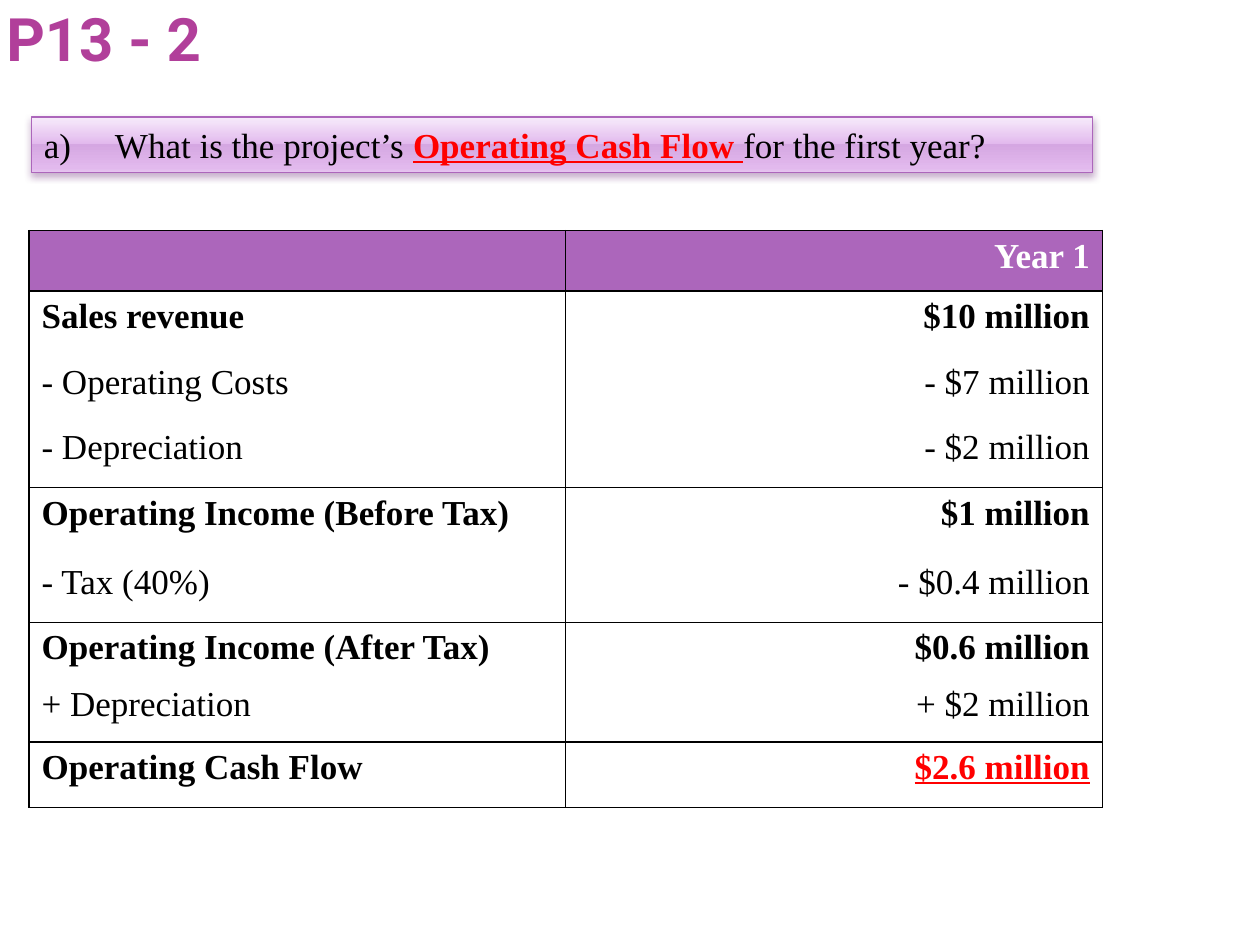
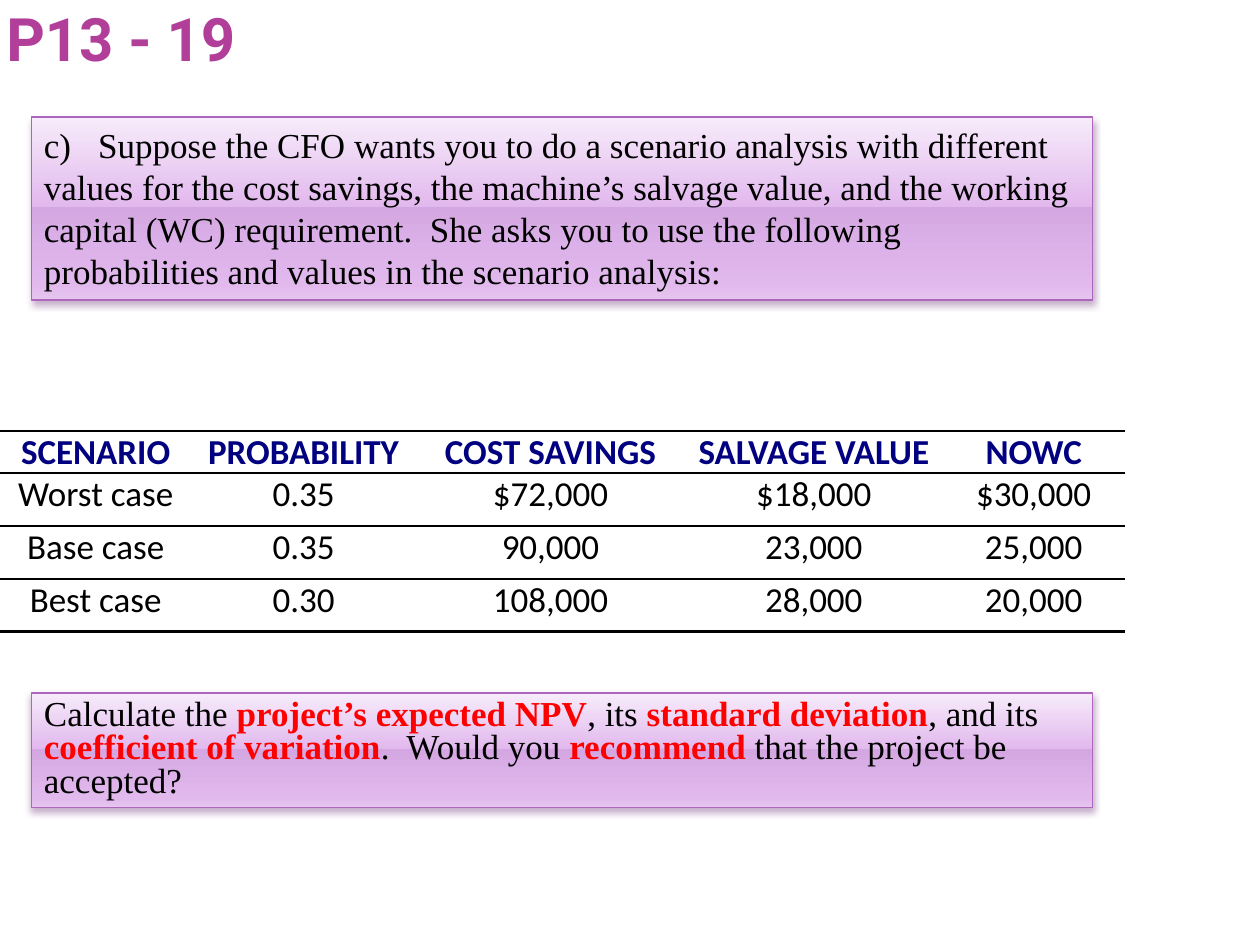
from lxml.etree import SubElement
from pptx import Presentation
from pptx.dml.color import RGBColor
from pptx.enum.shapes import MSO_SHAPE
from pptx.enum.text import MSO_ANCHOR, MSO_AUTO_SIZE, PP_ALIGN
from pptx.oxml.ns import qn
from pptx.util import Inches, Pt

# Shared style
COLORS = {
    "title": "B13F9A", "ink": "000000", "accent": "FF0000", "navy": "000080",
    "white": "FFFFFF", "purple": "AC66BB", "shadow": "6E307B",
}
BAND_STOPS = [(0, "F7EBFB"), (49, "E2B9ED"), (49, "D5A7E2"), (92, "E2B9ED"), (100, "E6C6EF")]
TITLE = {"name": "Roboto", "size": Pt(34.2), "bold": True, "color": "title"}
SERIF = {"name": "Times New Roman", "size": Pt(20), "color": "ink"}
SANS = {"name": "Calibri", "size": Pt(20), "color": "ink"}
BOLD = {"bold": True}
KEY = {"bold": True, "color": "accent"}
KEY_LINE = {**KEY, "underline": True}
BAND_LEFT, BAND_WIDTH = 0.25, 8.42


def add_color(parent, hex_color):
    return SubElement(parent, qn("a:srgbClr"), val=hex_color)


class Deck:
    """Holds the presentation, its style and the current slide."""

    def __init__(self):
        self.prs = Presentation()
        self.prs.slide_width, self.prs.slide_height = Inches(10), Inches(7.5)
        self.slide = None

    def add_runs(self, paragraph, runs, base):
        """Each run is a plain string or a (string, format changes) pair."""
        for part in runs:
            words, changes = (part, {}) if isinstance(part, str) else part
            run = paragraph.add_run()
            run.text = words
            for attribute, value in {**base, **changes}.items():
                if attribute == "color":
                    run.font.color.rgb = RGBColor.from_string(COLORS[value])
                else:
                    setattr(run.font, attribute, value)

    def tab_stop(self, paragraph, position, align="l"):
        tabs = SubElement(paragraph._p.get_or_add_pPr(), qn("a:tabLst"))
        SubElement(tabs, qn("a:tab"), pos=str(Inches(position)), algn=align)

    def new_slide(self, heading):
        self.slide = self.prs.slides.add_slide(self.prs.slide_layouts[5])
        title = self.slide.shapes.title
        place = {"left": 0, "top": 0, "width": 7.92, "height": 0.58}
        for attribute, value in place.items():
            setattr(title, attribute, Inches(value))
        frame = title.text_frame
        layout = {
            "margin_left": Inches(0.05), "margin_right": Inches(0.05),
            "margin_top": 0, "margin_bottom": 0, "word_wrap": True,
            "vertical_anchor": MSO_ANCHOR.BOTTOM, "auto_size": MSO_AUTO_SIZE.NONE,
        }
        for attribute, value in layout.items():
            setattr(frame, attribute, value)
        frame.paragraphs[0].alignment = PP_ALIGN.LEFT
        self.add_runs(frame.paragraphs[0], [heading], TITLE)

    def band(self, top, height, runs, spacing=None, tab=None):
        """Glossy purple question box with a soft shadow."""
        band = self.slide.shapes.add_shape(
            MSO_SHAPE.RECTANGLE, Inches(BAND_LEFT), Inches(top), Inches(BAND_WIDTH), Inches(height))
        band.fill.gradient()
        band.fill.gradient_angle = 270
        stops = next(band._element.iter(qn("a:gsLst")))
        for stop in list(stops):
            stops.remove(stop)
        for percent, hex_color in BAND_STOPS:
            add_color(SubElement(stops, qn("a:gs"), pos=str(percent * 1000)), hex_color)
        band.line.color.rgb = RGBColor.from_string(COLORS["purple"])
        band.line.width = Pt(0.9)

        band.shadow.inherit = False
        effects = next(band._element.iter(qn("a:effectLst")))
        shadow = SubElement(effects, qn("a:outerShdw"), blurRad=str(Pt(4)), dist=str(Pt(2)),
                            dir="5400000", rotWithShape="0")
        SubElement(add_color(shadow, COLORS["shadow"]), qn("a:alpha"), val="38000")

        frame = band.text_frame
        layout = {"word_wrap": True, "vertical_anchor": MSO_ANCHOR.TOP,
                  "auto_size": MSO_AUTO_SIZE.SHAPE_TO_FIT_TEXT}
        for attribute, value in layout.items():
            setattr(frame, attribute, value)
        question = frame.paragraphs[0]
        question.alignment = PP_ALIGN.LEFT
        question.line_spacing = spacing
        if tab:
            self.tab_stop(question, tab)
        self.add_runs(question, runs, SERIF)

    def table(self, left, top, widths, heights):
        table = self.slide.shapes.add_table(
            len(heights), len(widths), Inches(left), Inches(top),
            Inches(sum(widths)), Inches(sum(heights))).table
        table.first_row = table.horz_banding = False
        for column, width in zip(table.columns, widths):
            column.width = Inches(width)
        for row, height in zip(table.rows, heights):
            row.height = Inches(height)
        return table

    def cell(self, cell, run, base, align, edges, fill=None, layout=None):
        """edges gives the line widths left, right, top and bottom; 0 is no line."""
        props = cell._tc.get_or_add_tcPr()
        for side, width in zip("LRTB", edges):
            edge = SubElement(props, qn(f"a:ln{side}"), w=str(Pt(width)))
            if width:
                add_color(SubElement(edge, qn("a:solidFill")), COLORS["ink"])
            else:
                SubElement(edge, qn("a:noFill"))
        if fill:
            cell.fill.solid()
            cell.fill.fore_color.rgb = RGBColor.from_string(COLORS[fill])
        else:
            cell.fill.background()
        for attribute, value in (layout or {}).items():
            setattr(cell, attribute, value)
        paragraph = cell.text_frame.paragraphs[0]
        paragraph.alignment = align
        if run:
            self.add_runs(paragraph, [run], base)
        return paragraph


def cash_flow_slide(deck):
    deck.new_slide("P13 - 2")
    deck.band(0.93, 0.44, ["a)\t What is the project’s ", ("Operating Cash Flow ", KEY_LINE),
                           "for the first year?"])

    # Cash flow statement: label, amount, label format, amount format
    header = {"bold": True, "color": "white"}
    statement = [
        ("", "Year 1", header, header),
        ("Sales revenue", "$10 million", BOLD, BOLD),
        ("- Operating Costs", "- $7 million", {}, {}),
        ("- Depreciation", "- $2 million", {}, {}),
        ("Operating Income (Before Tax)", "$1 million", BOLD, BOLD),
        ("- Tax (40%)", "- $0.4 million", {}, {}),
        ("Operating Income (After Tax)", "$0.6 million", BOLD, BOLD),
        ("+ Depreciation", "+ $2 million", {}, {}),
        ("Operating Cash Flow", "$2.6 million", BOLD, KEY_LINE),
    ]
    heights = [0.48, 0.52, 0.52, 0.52, 0.55, 0.52, 0.45, 0.5, 0.52]
    ruled_after = {-1, 0, 3, 5, 7, 8}
    table = deck.table(0.23, 1.83, [4.26, 4.26], heights)
    for r, (label, amount, label_format, amount_format) in enumerate(statement):
        edges = (1, 1, int(r - 1 in ruled_after), int(r in ruled_after))
        fill = "purple" if r == 0 else None
        deck.cell(table.cell(r, 0), label and (label, label_format), SERIF, PP_ALIGN.LEFT, edges, fill)
        deck.cell(table.cell(r, 1), (amount, amount_format), SERIF, PP_ALIGN.RIGHT, edges, fill)


def scenario_slide(deck):
    deck.new_slide("P13 - 19")
    deck.band(0.93, 1.45, [
        "c)\tSuppose the CFO wants you to do a scenario analysis with different values for the cost "
        "savings, the machine’s salvage value, and the working capital (WC) requirement.  She asks "
        "you to use the following probabilities and values in the scenario analysis:"], tab=0.43)

    # Scenario table
    scenarios = [
        ("SCENARIO", "PROBABILITY", "COST SAVINGS", "SALVAGE VALUE", "NOWC"),
        ("Worst case", "0.35", "$72,000", "$18,000", "$30,000"),
        ("Base case", "0.35", "90,000", "23,000", "25,000"),
        ("Best case", "0.30", "108,000", "28,000", "20,000"),
    ]
    rules = [1.5, 1.5, 1, 1, 1.5]
    savings_column = 2
    table = deck.table(0, 3.42, [1.52, 1.78, 2.14, 2.04, 1.45], [0.33] + [0.42] * 3)
    for r, scenario in enumerate(scenarios):
        style = {"bold": True, "color": "navy"} if r == 0 else {}
        layout = {"margin_top": 0, "margin_bottom": 0,
                  "vertical_anchor": MSO_ANCHOR.TOP if r else MSO_ANCHOR.BOTTOM}
        for c, entry in enumerate(scenario):
            tabbed = r > 0 and c == savings_column
            paragraph = deck.cell(table.cell(r, c), ("\t" + entry if tabbed else entry, style), SANS,
                                  PP_ALIGN.CENTER, (0, 0, rules[r], rules[r + 1]), layout=layout)
            if tabbed:
                deck.tab_stop(paragraph, 0.64, "r")

    # Closing question
    deck.band(5.5, 0.91, [
        "Calculate the ", ("project’s expected NPV", KEY), ", its ", ("standard deviation", KEY),
        ", and its ", ("coefficient of variation", KEY), ".  Would you ", ("recommend", KEY),
        " that the project be accepted?"], spacing=0.8)


def main():
    deck = Deck()
    cash_flow_slide(deck)
    scenario_slide(deck)
    deck.prs.save("out.pptx")


if __name__ == "__main__":
    main()
